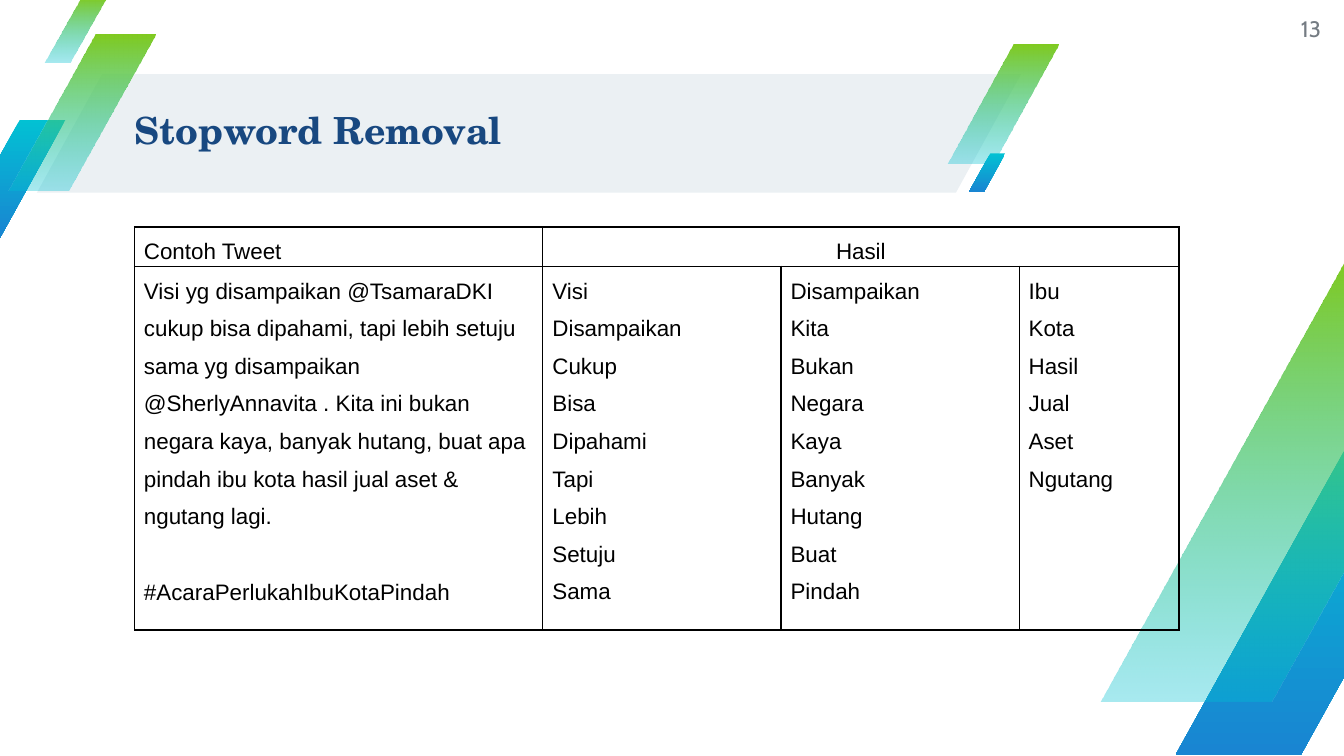
from dataclasses import dataclass

from lxml.etree import SubElement
from pptx import Presentation
from pptx.dml.color import RGBColor as Rgb
from pptx.enum.shapes import MSO_SHAPE as Shape
from pptx.enum.text import MSO_ANCHOR as Anchor, MSO_AUTO_SIZE as AutoSize, PP_ALIGN as Align
from pptx.oxml.ns import qn
from pptx.util import Cm, Pt


@dataclass(frozen=True)
class Theme:
    band: str = "EBF0F3"
    green: str = "7FCA20"
    cyan: str = "02C1D3"
    blue: str = "1985D2"
    title: str = "184880"
    number: str = "757C83"
    ink: str = "000000"
    title_font: str = "TeX Gyre Schola"
    number_font: str = "Cabin"
    body_font: str = "Arial"
    title_size: int = 20
    body_size: int = 12
    border: float = 0.75


theme = Theme()


def add_run(paragraph, text, font, size, color, bold=False):
    run = paragraph.add_run()
    run.text = text
    run.font.name = font
    run.font.size = Pt(size)
    run.font.bold = bold
    run.font.color.rgb = Rgb.from_string(color)


def add_parallelogram(left, top, width, height, slant):
    """Add a slanted shape without line or shadow; lengths in centimetres."""
    shape = slide.shapes.add_shape(
        Shape.PARALLELOGRAM, Cm(left), Cm(top), Cm(width), Cm(height))
    shape.adjustments[0] = slant
    shape.shadow.inherit = False
    shape.line.fill.background()
    return shape


presentation = Presentation()
presentation.slide_width = Cm(25.4)
presentation.slide_height = Cm(14.29)
slide = presentation.slides.add_slide(presentation.slide_layouts[5])

# Title band and slanted stripes
band = add_parallelogram(0.7, 1.4, 18.6, 2.24, 0.55)
band.fill.solid()
band.fill.fore_color.rgb = Rgb.from_string(theme.band)

deep = (theme.cyan, theme.blue, 100)
fading = (theme.green, theme.cyan, 34)
stripes = [  # left, top, width, (start colour, end colour, end opacity in percent)
    (-0.86, 2.26, 2.1, deep),
    (17.9, 0.85, 2.1, fading),
    (0.16, 0.65, 2.77, fading),
    (0.85, -0.05, 1.16, fading),
    (18.31, 2.9, 0.69, deep),
    (22.22, 8.13, 5.77, deep),
    (20.8, 4.88, 7.87, fading),
]
for left, top, width, (start, end, opacity) in stripes:
    stripe = add_parallelogram(left, top, width, width / 0.94, 0.59)
    stripe.fill.gradient()
    stripe.fill.gradient_angle = 270
    first_stop, last_stop = stripe.fill.gradient_stops
    first_stop.color.rgb = Rgb.from_string(start)
    last_stop.color.rgb = Rgb.from_string(end)
    if opacity < 100:
        end_color = stripe.element.spPr.findall(".//" + qn("a:srgbClr"))[-1]
        SubElement(end_color, qn("a:alpha"), val=str(opacity * 1000))

# Slide number and title, in front of the stripes
number = slide.shapes.add_textbox(Cm(23.77), Cm(0), Cm(1.2), Cm(1.09))
title = slide.shapes.title
title.left, title.top, title.width, title.height = Cm(2.54), Cm(1.37), Cm(16.74), Cm(2.26)
slide.shapes.element.append(title.element)
for shape in (number, title):
    frame = shape.text_frame
    frame.margin_left = frame.margin_right = frame.margin_top = frame.margin_bottom = 0
    frame.vertical_anchor = Anchor.MIDDLE
    frame.auto_size = AutoSize.NONE
    frame.word_wrap = True

paragraph = number.text_frame.paragraphs[0]
paragraph.alignment = Align.RIGHT
add_run(paragraph, "13", theme.number_font, theme.body_size, theme.number)

paragraph = title.text_frame.paragraphs[0]
paragraph.alignment = Align.LEFT
paragraph.line_spacing = 0.9
add_run(paragraph, "Stopword Removal", theme.title_font, theme.title_size, theme.title, bold=True)

# Tweet and the words kept from it
tweet = [
    "Visi yg disampaikan @TsamaraDKI cukup bisa dipahami, tapi lebih setuju sama yg "
    "disampaikan @SherlyAnnavita . Kita ini bukan negara kaya, banyak hutang, buat apa "
    "pindah ibu kota hasil jual aset & ngutang lagi.",
    "#AcaraPerlukahIbuKotaPindah",
]
rows = [
    [["Contoh Tweet"], ["Hasil"], [], []],
    [
        tweet,
        ["Visi", "Disampaikan", "Cukup", "Bisa", "Dipahami", "Tapi", "Lebih", "Setuju", "Sama"],
        ["Disampaikan", "Kita", "Bukan", "Negara", "Kaya", "Banyak", "Hutang", "Buat", "Pindah"],
        ["Ibu", "Kota", "Hasil", "Jual", "Aset", "Ngutang"],
    ],
]
column_widths = [7.72, 4.5, 4.5, 3.02]
row_heights = [0.74, 6.88]
table = slide.shapes.add_table(
    len(rows), len(column_widths), Cm(2.54), Cm(4.29),
    Cm(sum(column_widths)), Cm(sum(row_heights))).table
table.first_row = table.horz_banding = False
for column, width in zip(table.columns, column_widths):
    column.width = Cm(width)
for row, height in zip(table.rows, row_heights):
    row.height = Cm(height)
table.cell(0, 1).merge(table.cell(0, 3))

for row_index, row in enumerate(rows):
    for column_index, lines in enumerate(row):
        cell = table.cell(row_index, column_index)
        cell.margin_left = cell.margin_right = Cm(0.18)
        cell.margin_top = cell.margin_bottom = 0
        properties = cell._tc.get_or_add_tcPr()
        for side in ("a:lnL", "a:lnR", "a:lnT", "a:lnB"):
            border = SubElement(properties, qn(side), w=str(Pt(theme.border)))
            fill = SubElement(border, qn("a:solidFill"))
            SubElement(fill, qn("a:srgbClr"), val=theme.ink)
        cell.fill.background()
        frame = cell.text_frame
        for line_index, line in enumerate(lines):
            paragraph = frame.add_paragraph() if line_index else frame.paragraphs[0]
            paragraph.line_spacing = 1.5
            if lines == ["Hasil"]:
                paragraph.alignment = Align.CENTER
            if lines is tweet and line_index:
                paragraph.space_before = Pt(20.2)
            add_run(paragraph, line, theme.body_font, theme.body_size, theme.ink)

presentation.save("out.pptx")
